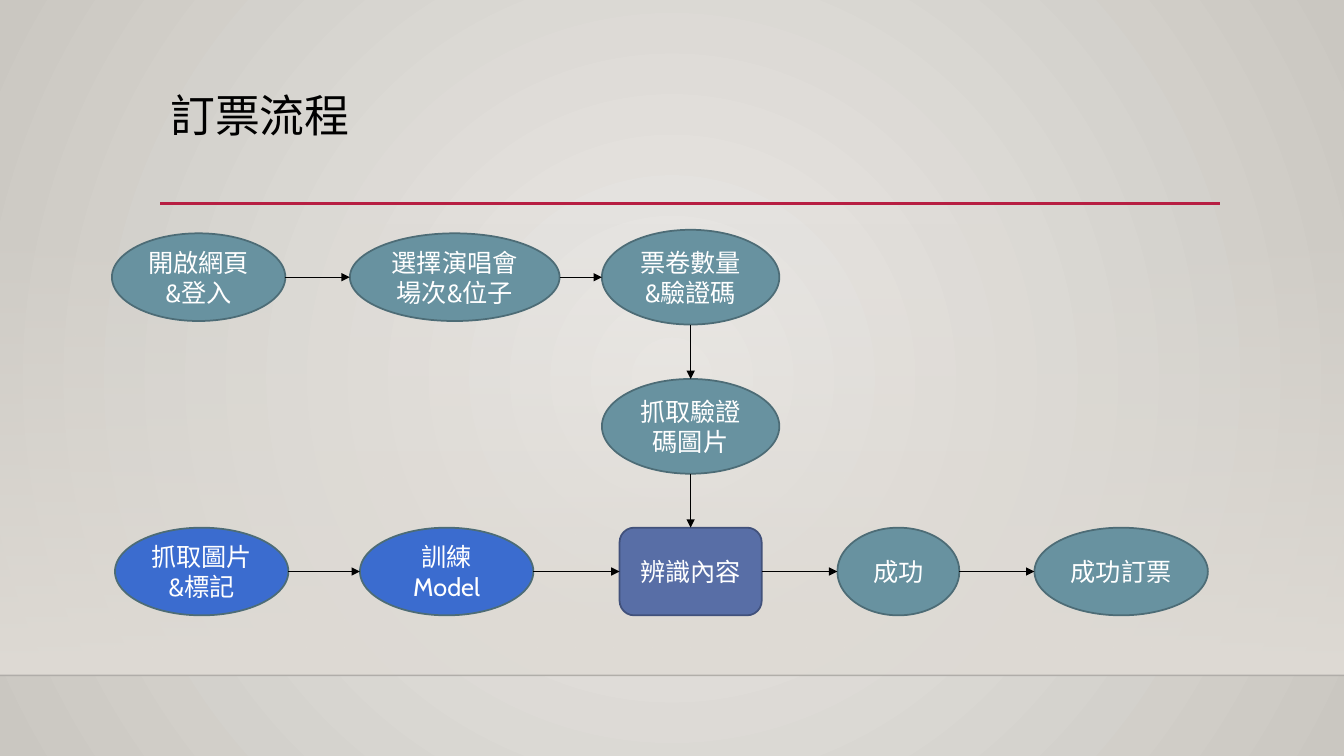
from lxml.etree import SubElement
from pptx import Presentation
from pptx.dml.color import RGBColor
from pptx.enum.shapes import MSO_CONNECTOR as CONN, MSO_SHAPE as SHAPE
from pptx.enum.text import MSO_ANCHOR as ANCHOR, PP_ALIGN as ALIGN
from pptx.oxml import parse_xml
from pptx.oxml.ns import nsdecls, qn
from pptx.util import Inches, Pt

W, H = 13.33, 7.5
FONT = "Cabin"
COLORS = {
    "center": "ECEAE7", "edge": "CAC7C1", "floor": "DFDBD5", "horizon": "000001",
    "rule": "B71E42", "title": "000000", "arrow": "000000", "text": "FFFFFF",
    "teal": "6892A0", "blue": "3B6CCF", "indigo": "586EA6",
    "teal_edge": "4D6C76", "indigo_edge": "41517B",
}
TITLE = "訂票流程"
ROWS = {"web": 2.75, "captcha": 4.23, "model": 5.67}
HORIZON = 6.7

# name: (lines, row, column centre, width, height, fill)
STEPS = {
    "login": (["開啟網頁", "&登入"], "web", 1.97, 1.72, 0.87, "teal"),
    "seat": (["選擇演唱會", "場次&位子"], "web", 4.51, 2.08, 0.87, "teal"),
    "amount": (["票卷數量", "&驗證碼"], "web", 6.85, 1.76, 0.94, "teal"),
    "grab": (["抓取驗證碼圖片"], "captcha", 6.85, 1.76, 0.94, "teal"),
    "label": (["抓取圖片", "&標記"], "model", 2.0, 1.72, 0.87, "blue"),
    "train": (["訓練Model"], "model", 4.43, 1.72, 0.87, "blue"),
    "recognize": (["辨識內容"], "model", 6.85, 1.41, 0.87, "indigo"),
    "success": (["成功"], "model", 8.91, 1.21, 0.87, "teal"),
    "booked": (["成功訂票"], "model", 11.12, 1.72, 0.87, "teal"),
}
FLOWS = [
    ["login", "seat", "amount", "grab", "recognize"],
    ["label", "train", "recognize", "success", "booked"],
]
TOP, LEFT, BOTTOM, RIGHT = range(4)


def rgb(name):
    return RGBColor.from_string(COLORS[name])


def set_alpha(color_el, percent):
    SubElement(color_el, qn("a:alpha")).set("val", str(percent * 1000))


def paint_gradient(fill, names):
    fill.gradient()
    for stop, name in zip(fill.gradient_stops, names):
        stop.color.rgb = rgb(name)


def write(tf, lines, size, color, align):
    tf.word_wrap = True
    for i, line in enumerate(lines):
        p = tf.paragraphs[0] if i == 0 else tf.add_paragraph()
        p.alignment = align
        r = p.add_run()
        r.text = line
        for key, value in {"name": FONT, "size": Pt(size)}.items():
            setattr(r.font, key, value)
        r.font.color.rgb = rgb(color)


def add_line(s, start, end, color, width):
    line = s.shapes.add_connector(CONN.STRAIGHT, *map(Inches, (*start, *end)))
    line.line.color.rgb = rgb(color)
    line.line.width = Pt(width)
    SubElement(line._element.spPr, qn("a:effectLst"))
    return line


def add_backdrop(s):
    fill = s.background.fill
    paint_gradient(fill, ["center", "edge"])
    lin = next(s._element.iter(qn("a:lin")))
    lin.getparent().replace(lin, parse_xml(
        f'<a:path {nsdecls("a")} path="circle">'
        '<a:fillToRect l="50000" t="50000" r="50000" b="50000"/></a:path>'))

    top = 2.21
    sp = s.shapes.add_shape(SHAPE.RECTANGLE, *map(Inches, (0, top, W, HORIZON - top)))
    sp.shadow.inherit = False
    sp.line.fill.background()
    paint_gradient(sp.fill, ["floor", "floor"])
    sp.fill.gradient_angle = 270
    set_alpha(next(sp._element.spPr.iter(qn("a:srgbClr"))), 0)

    horizon = add_line(s, (0, HORIZON), (W, HORIZON), "horizon", 1)
    set_alpha(next(horizon._element.spPr.iter(qn("a:srgbClr"))), 20)
    add_line(s, (1.59, 2.02), (12.1, 2.02), "rule", 2.5)


def add_title(s):
    tf = s.shapes.add_textbox(*map(Inches, (1.59, 0.88, 10.5, 1.15))).text_frame
    write(tf, [TITLE], 32, "title", ALIGN.LEFT)
    tf.paragraphs[0].line_spacing = 0.9


def add_step(s, lines, row, cx, w, h, fill):
    boxed = fill == "indigo"
    kind = SHAPE.ROUNDED_RECTANGLE if boxed else SHAPE.OVAL
    sp = s.shapes.add_shape(kind, *map(Inches, (cx - w / 2, ROWS[row] - h / 2, w, h)))
    sp.shadow.inherit = False
    sp.fill.solid()
    sp.fill.fore_color.rgb = rgb(fill)
    sp.line.color.rgb = rgb("indigo_edge" if boxed else "teal_edge")
    sp.line.width = Pt(1.25)
    sp.text_frame.vertical_anchor = ANCHOR.MIDDLE
    write(sp.text_frame, lines, 18, "text", ALIGN.CENTER)
    return sp


def side_point(name, side):
    _, row, cx, w, h, _ = STEPS[name]
    dx, dy = {TOP: (0, -1), LEFT: (-1, 0), BOTTOM: (0, 1), RIGHT: (1, 0)}[side]
    return cx + dx * w / 2, ROWS[row] + dy * h / 2


def add_arrow(s, shapes, a, b):
    """Point from step a to step b, rightwards in a row and downwards between rows."""
    out, into = (RIGHT, LEFT) if STEPS[a][1] == STEPS[b][1] else (BOTTOM, TOP)
    arrow = add_line(s, side_point(a, out), side_point(b, into), "arrow", 0.75)
    SubElement(arrow.line._get_or_add_ln(), qn("a:tailEnd")).set("type", "triangle")
    if a == "recognize":
        arrow.begin_connect(shapes[a], out)
    if b == "recognize":
        arrow.end_connect(shapes[b], into)


def main():
    prs = Presentation()
    prs.slide_width, prs.slide_height = Inches(W), Inches(H)
    s = prs.slides.add_slide(prs.slide_layouts[6])
    add_backdrop(s)
    add_title(s)
    shapes = {name: add_step(s, *step) for name, step in STEPS.items()}
    for flow in FLOWS:
        for a, b in zip(flow, flow[1:]):
            add_arrow(s, shapes, a, b)
    prs.save("out.pptx")


if __name__ == "__main__":
    main()
